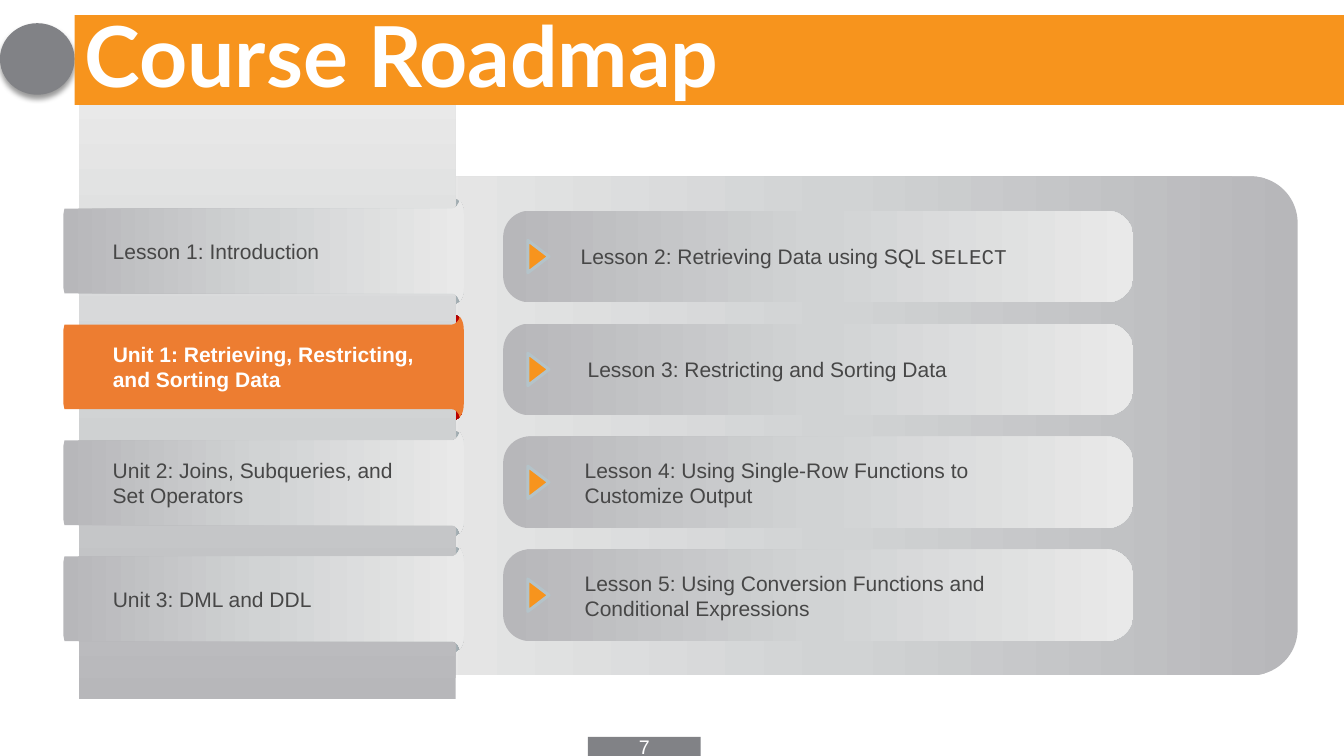
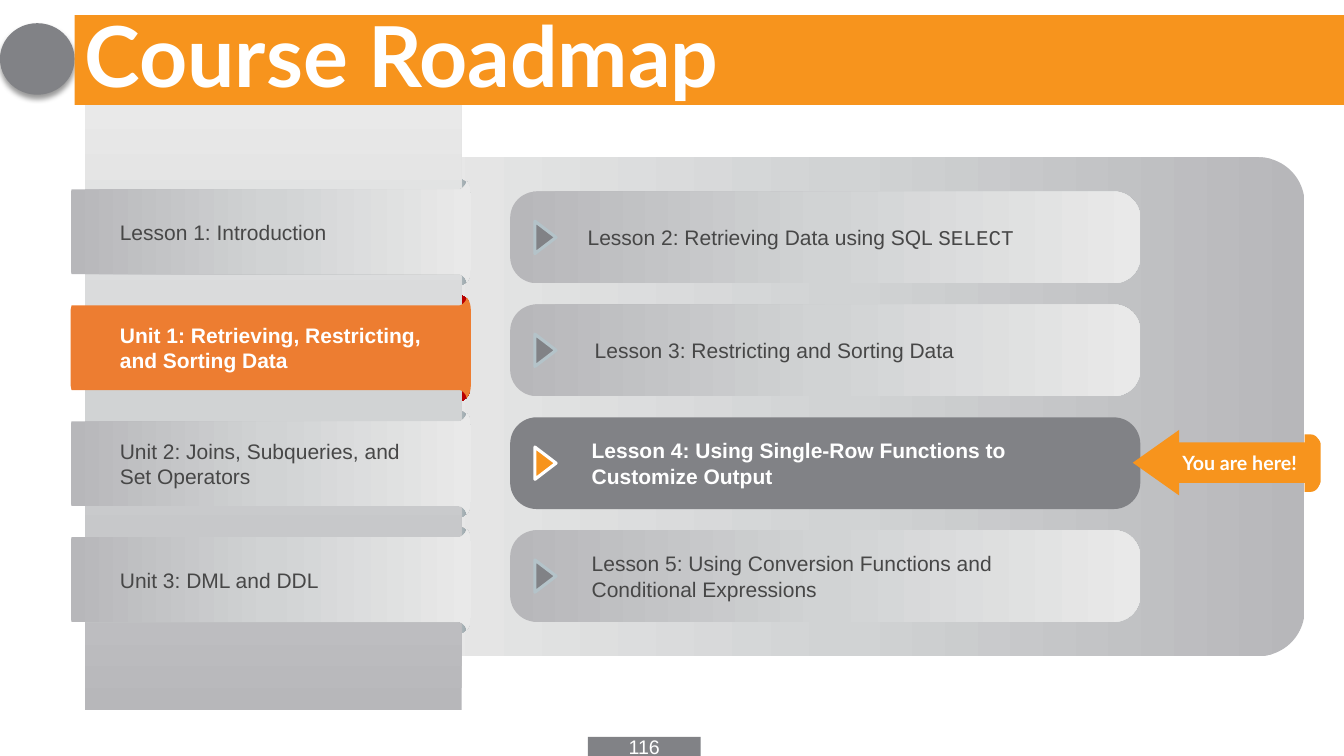
"""Build two course roadmap slides."""
from lxml import etree
from pptx import Presentation, util as u
from pptx.dml.color import RGBColor
from pptx.enum import shapes as es, text as et
from pptx.oxml import ns

HUES = {
    "orange": "F7941D", "hot": "ED7D31", "gray": "818286", "ink": "474747",
    "white": "FFFFFF", "edge": "B4C3C9", "black": "000000",
}
METAL = ((0, "B7B7BA"), (50, "D1D3D4"), (100, "E9E9E9"))
FOLD = ((0, "DEE4E5"), (77, "DEE4E5"), (99, "96A2A7"), (100, "96A2A7"))
HOTFOLD = ((0, "5B9BD5"), (73, "5B9BD5"), (92, "BA0000"), (100, "BA0000"))
KIND = es.MSO_SHAPE
UNITS = (
    ("Lesson 1: Introduction", 2.66, 1),
    ("Unit 1: Retrieving, Restricting, and Sorting Data", 3.21, 2),
    ("Unit 2: Joins, Subqueries, and Set Operators", 3.26, 2),
    ("Unit 3: DML and DDL", 2.42, 1),
)
LESSONS = (
    ("Lesson 2: Retrieving Data using SQL ", "SELECT", 5.66, 4.91, 1),
    ("Lesson 3: Restricting and Sorting Data", "", 5.73, 4.47, 1),
    ("Lesson 4: Using Single-Row Functions to Customize Output", "", 5.7, 4.47, 2),
    ("Lesson 5: Using Conversion Functions and Conditional Expressions", "", 5.7, 4.47, 2),
)
RIBBON = ((0, .13), (.01, .08), (3.85, .08), (3.88, .08, 3.9, .06, 3.92, .03),
          (3.93, 0), (3.96, .04, 3.97, .08, 3.97, .13))
TAIL = ((0, .04), (1.44, .04), (1.46, .04, 1.48, .03, 1.5, .02),
        (1.5, 0), (1.52, .02, 1.53, .04, 1.53, .07))
FLAP = ((0, 0), (.06, 0), (.11, 0, .15, .05, .15, .1))
LINES = {1: .35, 2: .61}


def tint(name):
    """Return the colour with this name."""
    return RGBColor.from_string(HUES[name])


def paint(shape, fill, turn=0, line=None):
    """Fill a shape with a named colour or with gradient stops."""
    shape.shadow.inherit = False
    if isinstance(fill, str):
        shape.fill.solid()
        shape.fill.fore_color.rgb = tint(fill)
    else:
        shape.fill.gradient()
        shape.fill.gradient_angle = turn
        stops = shape._element.spPr.find(".//" + ns.qn("a:gsLst"))
        for old in list(stops):
            stops.remove(old)
        for spot, hue in fill:
            stop = etree.SubElement(stops, ns.qn("a:gs"), pos=str(spot * 1000))
            etree.SubElement(stop, ns.qn("a:srgbClr"), val=hue)
    if line:
        shape.line.color.rgb = tint(line)
        shape.line.width = u.Pt(2.25)
    else:
        shape.line.fill.background()


def block(group, kind, x, y, w, h, fill, adj=None, spin=0, **look):
    """Add a painted preset shape."""
    shape = group.add_shape(kind, *map(u.Inches, (x, y, w, h)))
    paint(shape, fill, **look)
    if adj is not None:
        shape.adjustments[0] = adj
    shape.rotation = spin
    return shape


def trace(group, x, y, h, half, fill):
    """Add an outline from its upper half, mirrored downwards."""
    pts = []
    for step in half:
        if len(step) == 2:
            pts.append(step)
            continue
        ax, ay = pts[-1]
        bx, by, cx, cy, dx, dy = step
        for n in range(1, 7):
            t = n / 6
            s = 1 - t
            k = (s ** 3, 3 * s * s * t, 3 * s * t * t, t ** 3)
            pts.append((k[0] * ax + k[1] * bx + k[2] * cx + k[3] * dx,
                        k[0] * ay + k[1] * by + k[2] * cy + k[3] * dy))
    pts += [(px, h - py) for px, py in reversed(pts)]
    spots = [(u.Inches(x + px), u.Inches(y + py)) for px, py in pts]
    pen = group.build_freeform(*spots[0])
    pen.add_line_segments(spots[1:])
    paint(pen.convert_to_shape(), fill)


def put(shape, words, size=15, hue="ink", bold=False, font="Arial", code="",
        align=et.PP_ALIGN.LEFT, anchor=et.MSO_ANCHOR.MIDDLE, space=None):
    """Write formatted text in a shape, with an optional code run."""
    frame = shape.text_frame
    frame.word_wrap = True
    frame.vertical_anchor = anchor
    para = frame.paragraphs[0]
    para.alignment = align
    para.line_spacing = space
    for part, face in ((words, font), (code, "Courier New")):
        if part:
            run = para.add_run()
            run.text = part
            run.font.name = face
            run.font.size = u.Pt(size)
            run.font.bold = bold
            run.font.color.rgb = tint(hue)


def label(group, words, x, mid, w, rows, **form):
    """Add a text box centred on a height."""
    h = LINES[rows]
    put(group.add_textbox(*map(u.Inches, (x, mid - h / 2, w, h))), words, **form)


def shade(shape):
    """Give a shape a soft shadow below."""
    glow = shape._element.spPr.find(ns.qn("a:effectLst"))
    cast = etree.SubElement(glow, ns.qn("a:outerShdw"), blurRad=str(u.Pt(4)),
                            dist=str(u.Pt(3)), dir="5400000", rotWithShape="0")
    hue = etree.SubElement(cast, ns.qn("a:srgbClr"), val=HUES["black"])
    etree.SubElement(hue, ns.qn("a:alpha"), val="40000")


def frame(group, page):
    """Add the title band, the disc and the page number."""
    shade(block(group, KIND.OVAL, 0, .23, .74, .71, "gray"))
    band = block(group, KIND.RECTANGLE, .74, .15, 12.6, .89, "orange")
    put(band, "Course Roadmap", size=60, hue="white", bold=True, font="Lato", space=.9)
    foot = block(group, KIND.RECTANGLE, 5.83, 7.31, 1.12, .19, "gray")
    put(foot, str(page), size=14, hue="white", align=et.PP_ALIGN.CENTER)


def panel(group, dx, dy, here):
    """Add the panel of lessons."""
    block(group, KIND.ROUNDED_RECTANGLE, 3.79 + dx, 1.75 + dy, 9.08, 4.95,
          METAL, adj=.093, turn=180)
    for n, (words, code, x, w, rows) in enumerate(LESSONS):
        now = n == here
        top = 2.09 + dy + n * 1.12
        mid = top + .455
        block(group, KIND.ROUNDED_RECTANGLE, 4.99 + dx, top, 6.25, .91,
              "gray" if now else METAL, adj=.289)
        label(group, words, x + dx, mid, w, rows, code=code, bold=now,
              hue="white" if now else "ink")
        block(group, KIND.ISOSCELES_TRIANGLE, 5.18 + dx, mid - .105, .32, .21,
              "orange" if now or here is None else "gray", spin=90,
              line="white" if now else "edge")


def tabs(group, dx, dy, left, top):
    """Add the column of unit ribbons."""
    rows = [(1.99 + dy + n * 1.15, n == 1, unit) for n, unit in enumerate(UNITS)]
    for y, hot, unit in rows:
        block(group, KIND.ROUNDED_RECTANGLE, 3.54 + dx, y - .03, 1.05, 1.07,
              HOTFOLD if hot else FOLD, adj=.126)
    block(group, KIND.RECTANGLE, left, top, 3.74, 6.01, METAL, turn=90)
    for y, hot, (words, w, count) in rows:
        trace(group, .63 + dx, y, 1, RIBBON, "hot" if hot else METAL)
        label(group, words, 1.02 + dx, y + .5, w, count, bold=hot,
              hue="white" if hot else "ink")


def marker(group):
    """Add the arrow that marks the current lesson."""
    arrow = group.add_group_shape().shapes
    trace(arrow, 12.94, 4.31, .57, FLAP, "orange")
    trace(arrow, 11.57, 4.35, .48, TAIL, "orange")
    block(arrow, KIND.ISOSCELES_TRIANGLE, 11.14, 4.36, .65, .46, "orange", spin=270)
    sign = block(arrow, KIND.RECTANGLE, 11.57, 4.42, 1.45, .34, "orange")
    put(sign, "You are here!", size=14, hue="white", bold=True, font="Lato",
        align=et.PP_ALIGN.CENTER, anchor=et.MSO_ANCHOR.TOP)


def main():
    """Build and save the deck."""
    deck = Presentation()
    deck.slide_width, deck.slide_height = u.Inches(13.33), u.Inches(7.5)
    for page, dx, dy, left, top, here in (
            (7, 0, 0, .78, .93, None), (116, .07, -.19, .84, 1.03, 2)):
        group = deck.slides.add_slide(deck.slide_layouts[6]).shapes
        panel(group, dx, dy, here)
        if here is not None:
            marker(group)
        tabs(group, dx, dy, left, top)
        frame(group, page)
    deck.save("out.pptx")


if __name__ == "__main__":
    main()
